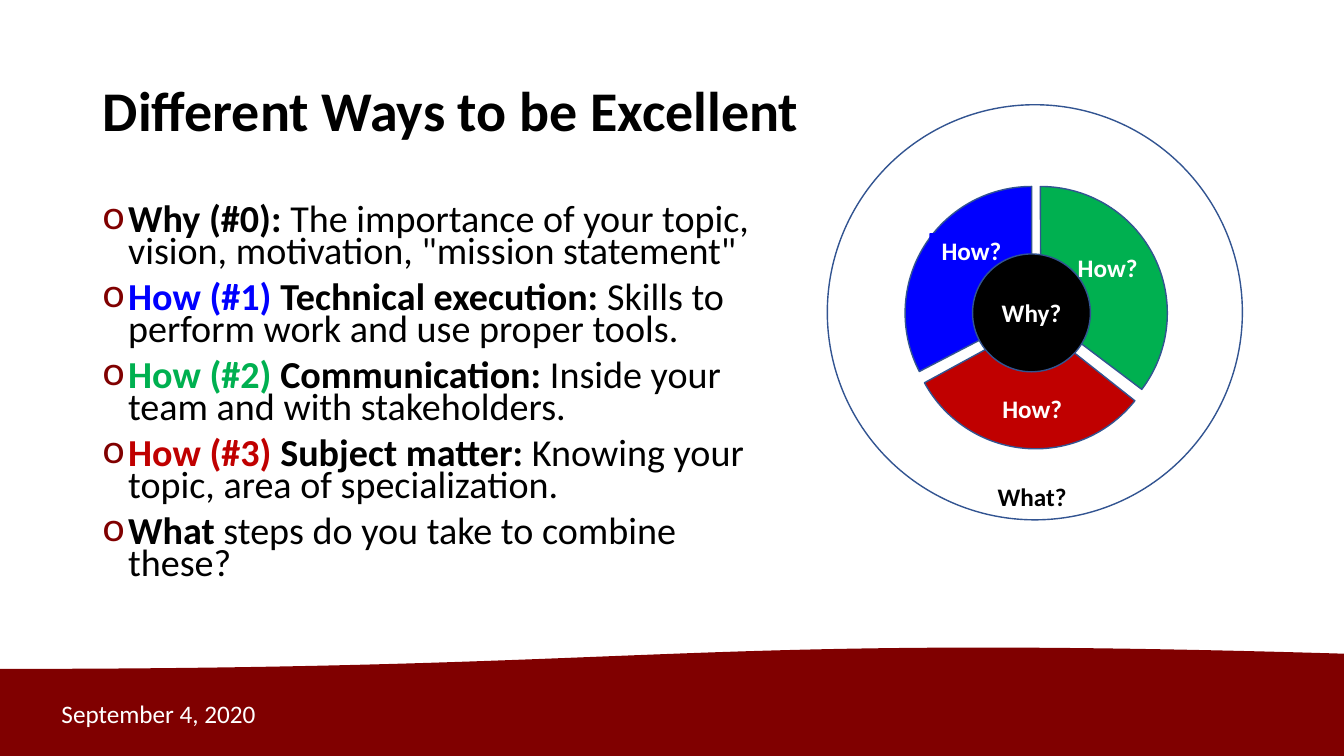
"""Build the slide on different ways to be excellent."""
from lxml.etree import SubElement
from pptx import Presentation
from pptx.dml.color import RGBColor
from pptx.enum.shapes import MSO_SHAPE
from pptx.enum.text import MSO_ANCHOR, PP_ALIGN
from pptx.oxml.ns import qn
from pptx.util import Cm, Pt

BLACK, WHITE, MAROON, EDGE = "000000", "FFFFFF", "800000", "325491"
BLUE, GREEN, RED = "0000FF", "00B050", "C00000"

POINTS = [
    [("Why (#0): ", BLACK, True),
     ("The importance of your topic, vision, motivation, \"mission statement\"", BLACK, False)],
    [("How (#1) ", BLUE, True), ("Technical execution:", BLACK, True),
     (" Skills to perform work and use proper tools.", BLACK, False)],
    [("How (#2) ", GREEN, True), ("Communication: ", BLACK, True),
     ("Inside your team and with stakeholders.", BLACK, False)],
    [("How (#3) ", RED, True), ("Subject matter:", BLACK, True),
     (" Knowing your topic, area of specialization.", BLACK, False)],
    [("What", BLACK, True), (" steps do you take to combine these?", BLACK, False)],
]
PIES = [(22.91, 4.93, RED, 23.01, 90.85),
        (23.04, 4.7, GREEN, 161.88, 22.24),
        (22.81, 4.7, BLUE, 91.5, 162)]
TAGS = [(23.44, 5.89, BLUE), (26.87, 6.32, GREEN), (24.97, 9.86, RED)]


def color(code):
    return RGBColor.from_string(code)


def style(run, size, code, bold=False):
    font = run.font
    font.name, font.size, font.bold = "Calibri", Pt(size), bold
    font.color.rgb = color(code)


def write(frame, text, size, code, bold=False, align=PP_ALIGN.LEFT):
    frame.text = text
    line = frame.paragraphs[0]
    line.alignment = align
    style(line.runs[0], size, code, bold)


def shape(slide, kind, box, fill=None, edge=None):
    item = slide.shapes.add_shape(kind, *map(Cm, box))
    item.shadow.inherit = False
    if fill:
        item.fill.solid()
        item.fill.fore_color.rgb = color(fill)
    else:
        item.fill.background()
    if edge:
        item.line.color.rgb = color(edge)
        item.line.width = Pt(1)
    else:
        item.line.fill.background()
    return item


def label(item, text):
    frame = item.text_frame
    frame.margin_left = frame.margin_right = frame.margin_top = frame.margin_bottom = 0
    frame.vertical_anchor = MSO_ANCHOR.MIDDLE
    write(frame, text, 18, WHITE, True, PP_ALIGN.CENTER)


def note(slide, box, text, code, bold=False, wrap=True):
    frame = slide.shapes.add_textbox(*map(Cm, box)).text_frame
    frame.word_wrap = wrap
    frame.vertical_anchor = MSO_ANCHOR.MIDDLE
    write(frame, text, 18, code, bold)


def bullet(line):
    props = line._p.get_or_add_pPr()
    props.set("marL", str(Cm(0.64)))
    props.set("indent", str(-Cm(0.64)))
    SubElement(SubElement(props, qn("a:buClr")), qn("a:srgbClr")).set("val", MAROON)
    SubElement(props, qn("a:buSzPct")).set("val", "110000")
    SubElement(props, qn("a:buFont")).set("typeface", "Calibri")
    SubElement(props, qn("a:buChar")).set("char", "o")


def points(slide, box):
    frame = slide.shapes.add_textbox(*map(Cm, box)).text_frame
    frame.word_wrap = True
    for i, parts in enumerate(POINTS):
        line = frame.add_paragraph() if i else frame.paragraphs[0]
        bullet(line)
        line.line_spacing = 0.7
        line.space_before = Pt(10 if i else 0)
        for text, code, bold in parts:
            run = line.add_run()
            run.text = text
            style(run, 27.2, code, bold)


def heading(slide, box, text):
    title = slide.shapes.title
    title.left, title.top, title.width, title.height = map(Cm, box)
    frame = title.text_frame
    frame.vertical_anchor = MSO_ANCHOR.MIDDLE
    write(frame, text, 40, BLACK, True)
    frame.paragraphs[0].line_spacing = 0.9


def rings(slide):
    for left, top, fill, start, end in PIES:
        pie = shape(slide, MSO_SHAPE.PIE, (left, top, 6.38, 6.38), fill, EDGE)
        pie.adjustments[0], pie.adjustments[1] = start, end
    shape(slide, MSO_SHAPE.OVAL, (20.85, 2.64, 10.46, 10.46), edge=EDGE)
    note(slide, (24.89, 11.99, 2.26, 1.02), "What?", BLACK, True, False)
    for left, top, fill in TAGS:
        tag = shape(slide, MSO_SHAPE.ROUND_1_RECTANGLE, (left, top, 2.13, 0.86), fill, fill)
        label(tag, "How?")
    label(shape(slide, MSO_SHAPE.OVAL, (24.51, 6.4, 2.97, 2.97), BLACK, EDGE), "Why?")


def main():
    deck = Presentation()
    deck.slide_width, deck.slide_height = Cm(33.87), Cm(19.05)
    slide = deck.slides.add_slide(deck.slide_layouts[5])
    band = shape(slide, MSO_SHAPE.FLOWCHART_DOCUMENT, (0, 16.28, 33.87, 2.9), MAROON)
    band.rotation = 180
    heading(slide, (2.34, 1.02, 29.21, 3.68), "Different Ways to be Excellent")
    points(slide, (2.34, 5.08, 16.84, 10.77))
    note(slide, (1.3, 17.48, 7.62, 1.02), "September 4, 2020", WHITE)
    rings(slide)
    deck.save("out.pptx")


if __name__ == "__main__":
    main()
